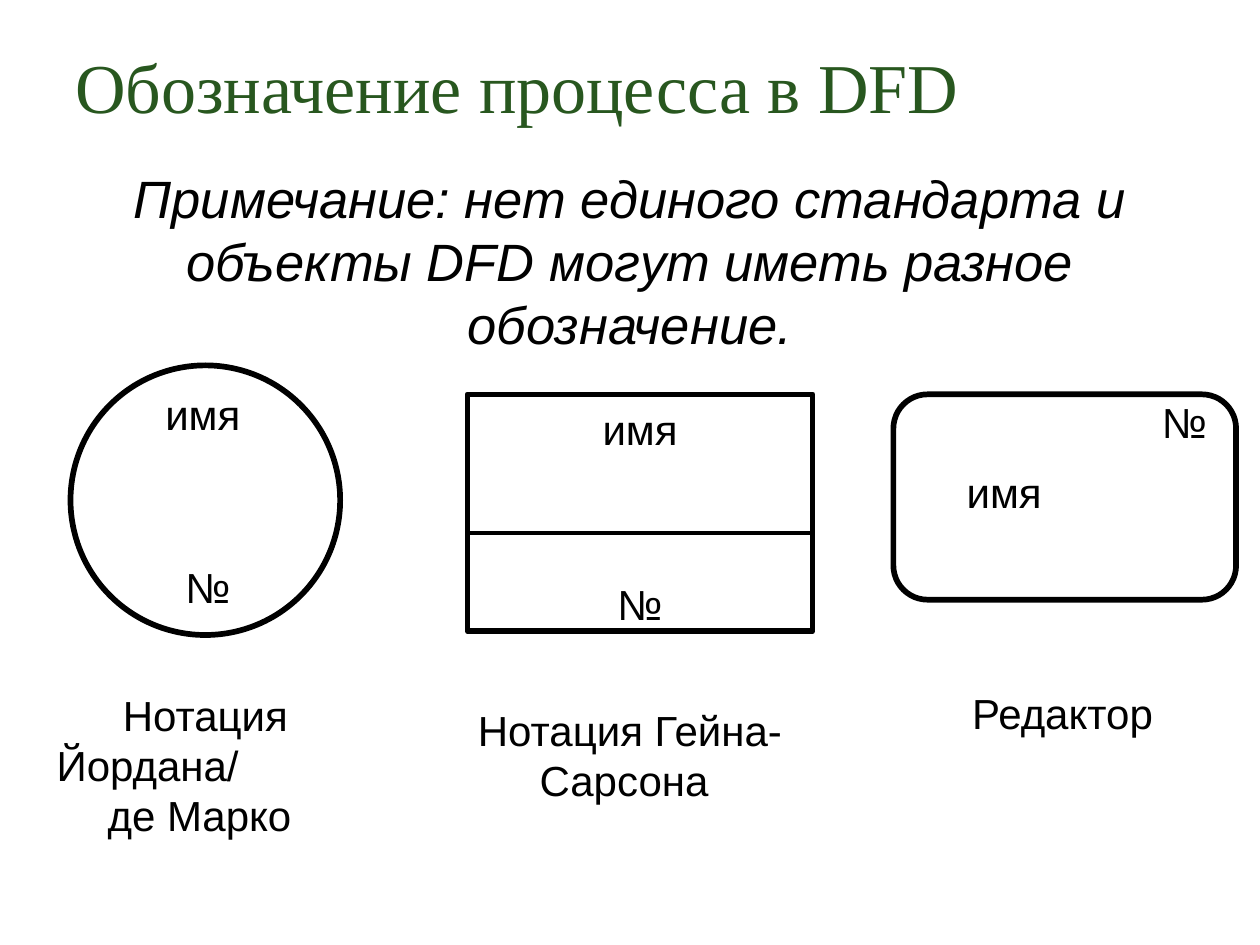
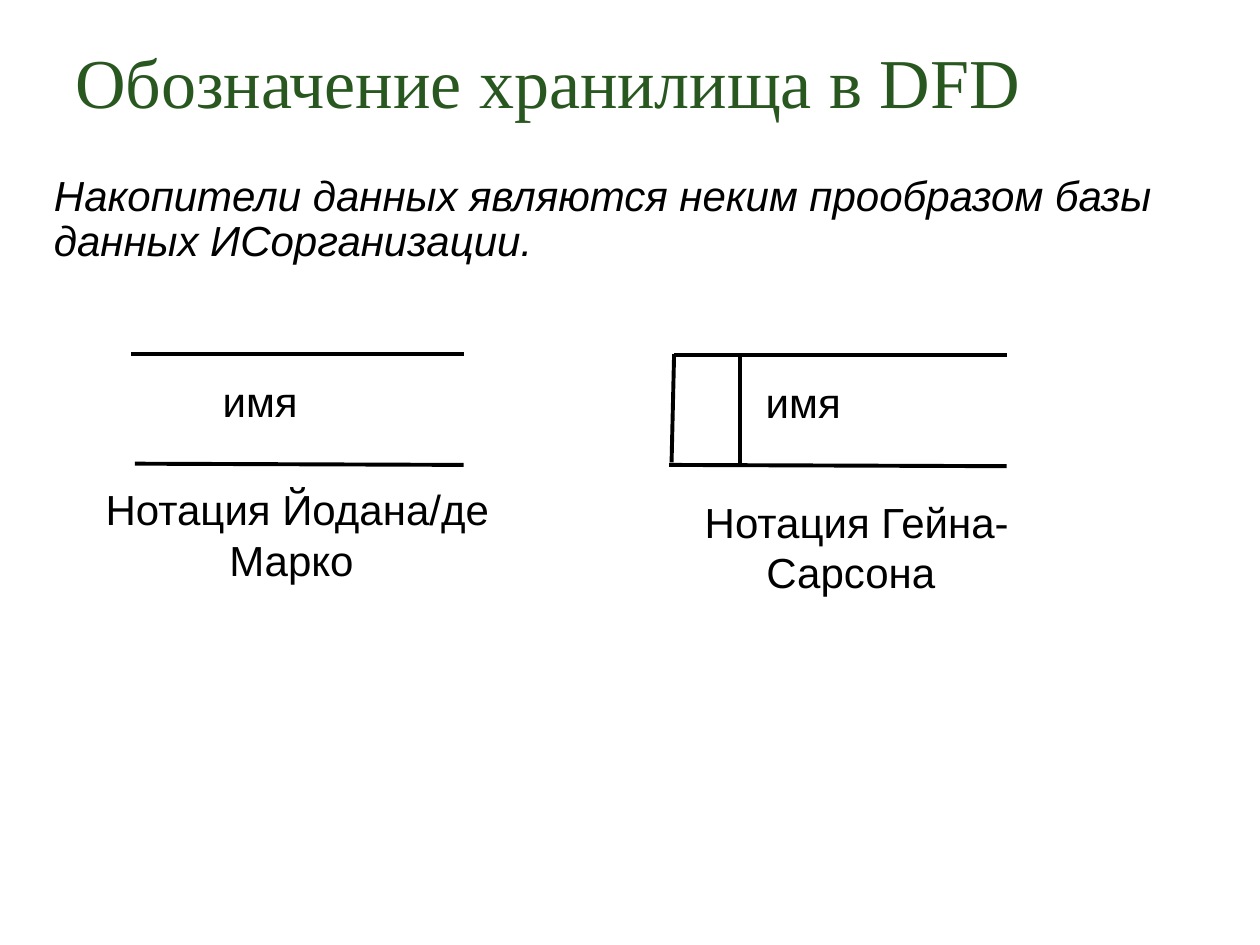
import pptx
import pptx.dml.color
import pptx.enum.shapes
import pptx.enum.text
import pptx.oxml
import pptx.util

Inches, Pt = pptx.util.Inches, pptx.util.Pt
SHAPE = pptx.enum.shapes.MSO_SHAPE
ALIGN = pptx.enum.text.PP_ALIGN

WIDTH, HEIGHT = 10, 7.5
MARGIN = 0.33
TITLE_LEFT = 0.5
GREEN, BLACK = "28571F", "000000"
TITLE_FONT, BODY_FONT = "Times New Roman", "Arial"
LABEL_SIZE, LABEL_HEIGHT = 24, 0.4
OUTLINE_WIDTH, RULE_WIDTH = 3.25, 2.25

# Each notation lists its outline (preset, box), rules (from, to),
# labels (text, left, top, width) and caption (lines, left, top, width).
# A caption line given as (text, indent) starts at that indent.
SLIDES = [
    {
        "title": ("Обозначение процесса в DFD", 0.3),
        "note": {
            "text": "Примечание: нет единого стандарта и объекты DFD могут иметь разное обозначение.",
            "top": 1.27, "height": 1.97, "size": 30, "align": ALIGN.CENTER, "spacing": 1,
        },
        "notations": [
            {
                "outline": (SHAPE.OVAL, (0.56, 2.9, 2.14, 2.14)),
                "labels": [("имя", 1.08, 3.08, 1.06), ("№", 1.12, 4.46, 1.06)],
                "caption": (["Нотация", ("Йордана/", 0.19), "де Марко "], 0.26, 5.47, 2.74),
            },
            {
                "outline": (SHAPE.RECTANGLE, (3.71, 3.13, 2.74, 1.88)),
                "rules": [((3.71, 4.23), (6.47, 4.23))],
                "labels": [("имя", 4.55, 3.2, 1.06), ("№", 4.55, 4.59, 1.06)],
                "caption": (["Нотация Гейна-Сарсона "], 3.63, 5.59, 2.74),
            },
            {
                "outline": (SHAPE.FLOWCHART_ALTERNATE_PROCESS, (7.09, 3.13, 2.72, 1.63)),
                "labels": [("имя", 7.44, 3.7, 1.06), ("№", 8.87, 3.15, 1.06)],
                "caption": (["Редактор "], 7.11, 5.46, 2.74),
            },
        ],
    },
    {
        "title": ("Обозначение хранилища в DFD", 0.26),
        "note": {
            "text": "Накопители данных являются неким прообразом базы данных ИСорганизации.",
            "top": 1.34, "height": 3.05, "size": 24, "align": ALIGN.LEFT, "spacing": 0.9,
        },
        "notations": [
            {
                "rules": [((1.04, 2.81), (3.68, 2.81)), ((1.07, 3.68), (3.68, 3.69))],
                "labels": [("имя", 1.47, 2.98, 1.19)],
                "caption": (["Нотация Йодана/де Марко "], 0.78, 3.84, 3.16),
            },
            {
                "rules": [
                    ((5.35, 2.82), (7.99, 2.82)), ((5.31, 3.69), (7.99, 3.7)),
                    ((5.35, 2.81), (5.33, 3.67)), ((5.87, 2.82), (5.87, 3.69)),
                ],
                "labels": [("имя", 5.78, 2.99, 1.19)],
                "caption": (["Нотация Гейна-Сарсона "], 5.43, 3.94, 2.74),
            },
        ],
    },
]


def color(hex_string):
    return pptx.dml.color.RGBColor.from_string(hex_string)


def style_line(line, width):
    line.color.rgb = color(BLACK)
    line.width = Pt(width)


def add_text(shapes, box, lines, size, font=BODY_FONT, fill=BLACK, align=ALIGN.LEFT,
             italic=False, spacing=1, inset=True):
    """Add a wrapping text box with one paragraph per line."""
    frame = shapes.add_textbox(*map(Inches, box)).text_frame
    frame.word_wrap = True
    if not inset:
        frame.margin_left = frame.margin_right = frame.margin_top = frame.margin_bottom = 0
    for index, line in enumerate(lines):
        paragraph = frame.paragraphs[0] if index == 0 else frame.add_paragraph()
        paragraph.alignment = align
        if isinstance(line, tuple):
            line, indent = line
            paragraph.alignment = ALIGN.LEFT
            paragraph._p.get_or_add_pPr().set("marL", str(Inches(indent)))
        paragraph.text = line
        paragraph.line_spacing = spacing
        paragraph.font.name = font
        paragraph.font.size = Pt(size)
        paragraph.font.italic = italic
        paragraph.font.color.rgb = color(fill)


def add_label(shapes, lines, left, top, width):
    add_text(shapes, (left, top, width, LABEL_HEIGHT * len(lines)), lines, LABEL_SIZE,
             align=ALIGN.CENTER, inset=False)


def add_rule(shapes, start, end):
    connector = shapes.add_connector(
        pptx.enum.shapes.MSO_CONNECTOR.STRAIGHT, *map(Inches, start + end))
    style_line(connector.line, RULE_WIDTH)
    connector._element.spPr.append(pptx.oxml.parse_xml(
        '<a:effectLst xmlns:a="http://schemas.openxmlformats.org/drawingml/2006/main"/>'))


def add_notation(slide, notation):
    shapes = slide.shapes.add_group_shape().shapes
    if "outline" in notation:
        preset, box = notation["outline"]
        shape = shapes.add_shape(preset, *map(Inches, box))
        shape.shadow.inherit = False
        shape.fill.background()
        style_line(shape.line, OUTLINE_WIDTH)
    for start, end in notation.get("rules", []):
        add_rule(shapes, start, end)
    for text, *place in notation["labels"]:
        add_label(shapes, [text], *place)
    add_label(shapes, *notation["caption"])


def add_slide(presentation, content):
    slide = presentation.slides.add_slide(presentation.slide_layouts[6])
    title, top = content["title"]
    add_text(slide.shapes, (TITLE_LEFT, top, WIDTH - 2 * TITLE_LEFT, 1.25), [title], 40,
             font=TITLE_FONT, fill=GREEN)
    note = content["note"]
    add_text(slide.shapes, (MARGIN, note["top"], WIDTH - 2 * MARGIN, note["height"]),
             [note["text"]], note["size"], align=note["align"], italic=True,
             spacing=note["spacing"])
    for notation in content["notations"]:
        add_notation(slide, notation)


def main():
    presentation = pptx.Presentation()
    presentation.slide_width = Inches(WIDTH)
    presentation.slide_height = Inches(HEIGHT)
    for content in SLIDES:
        add_slide(presentation, content)
    presentation.save("out.pptx")


if __name__ == "__main__":
    main()
